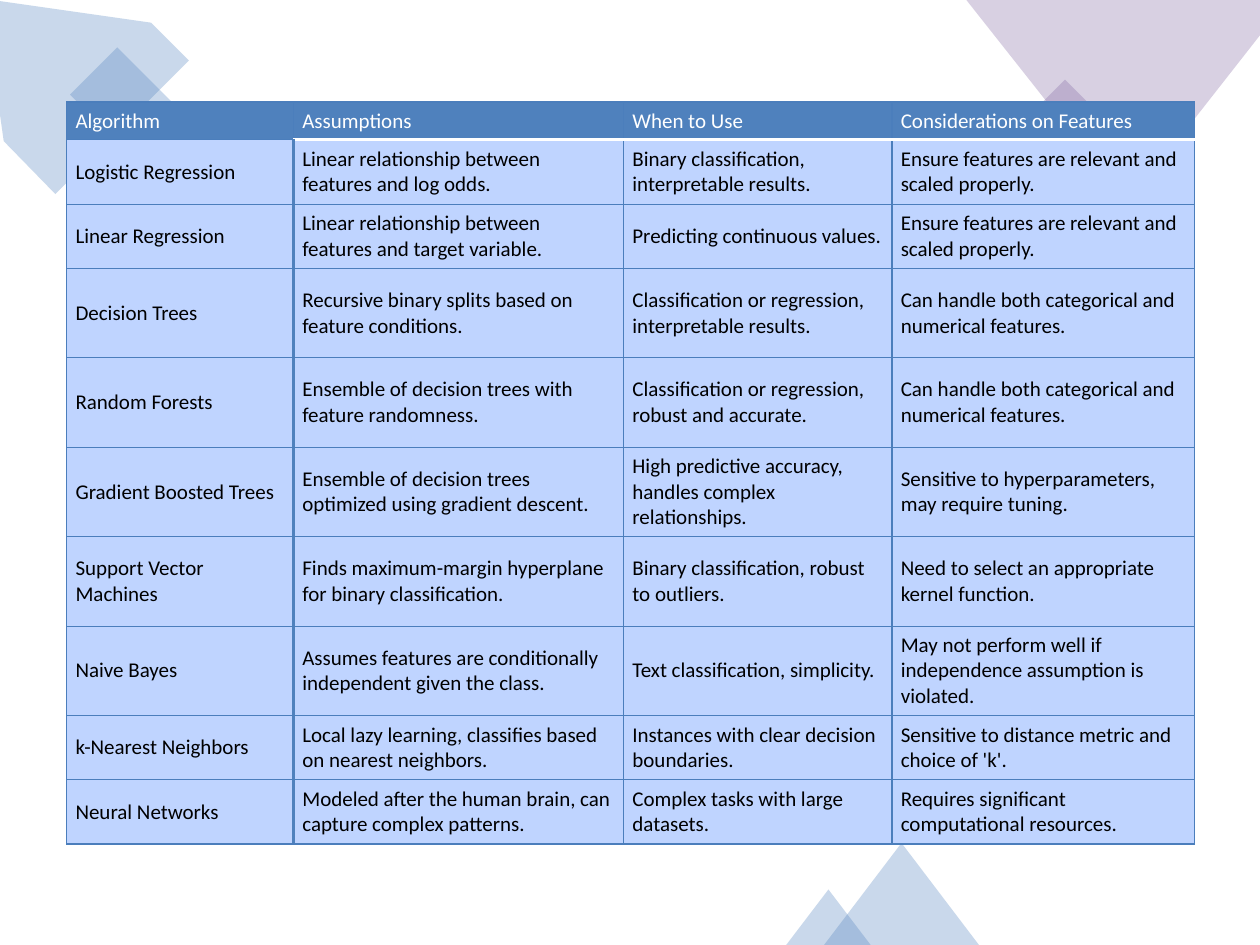
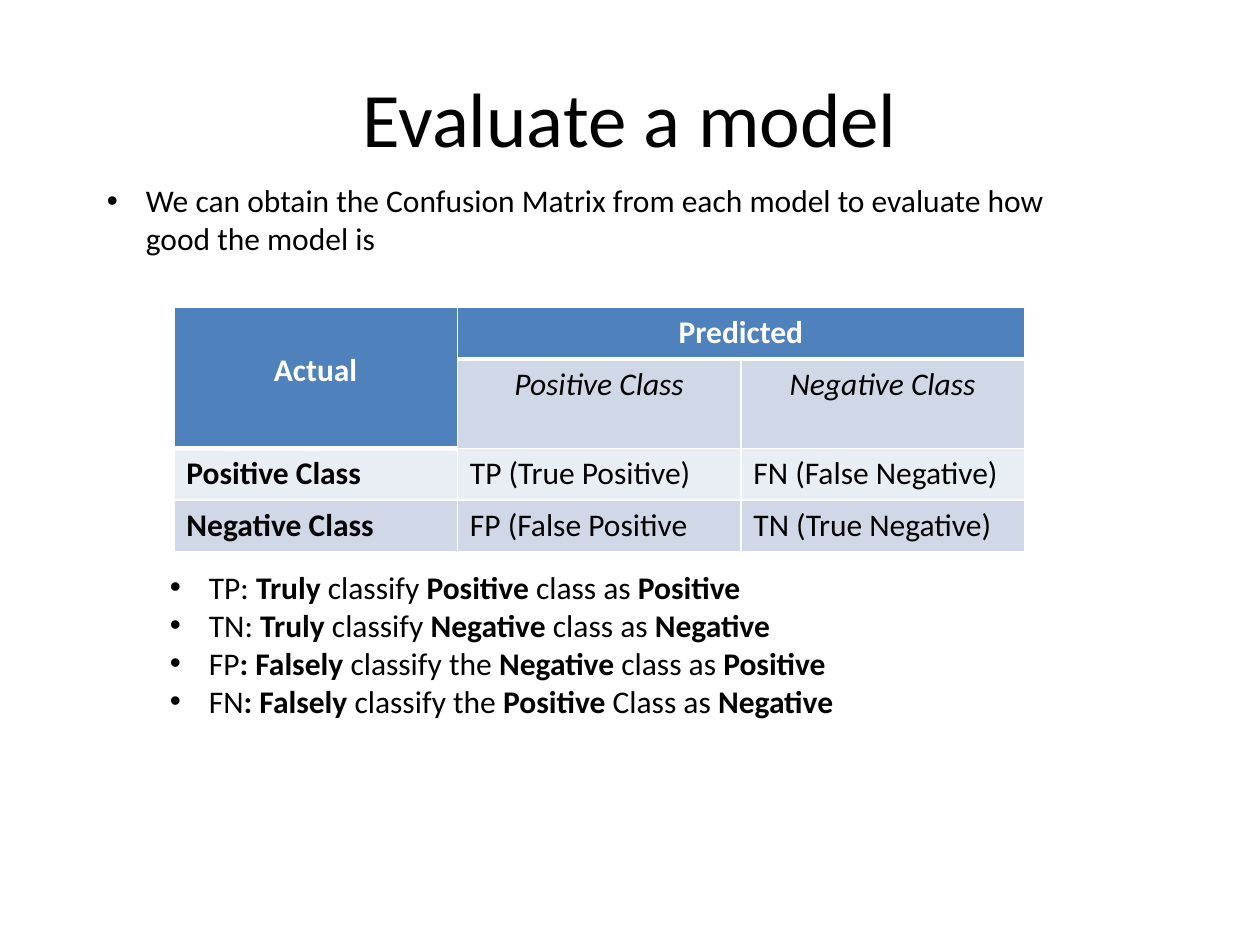
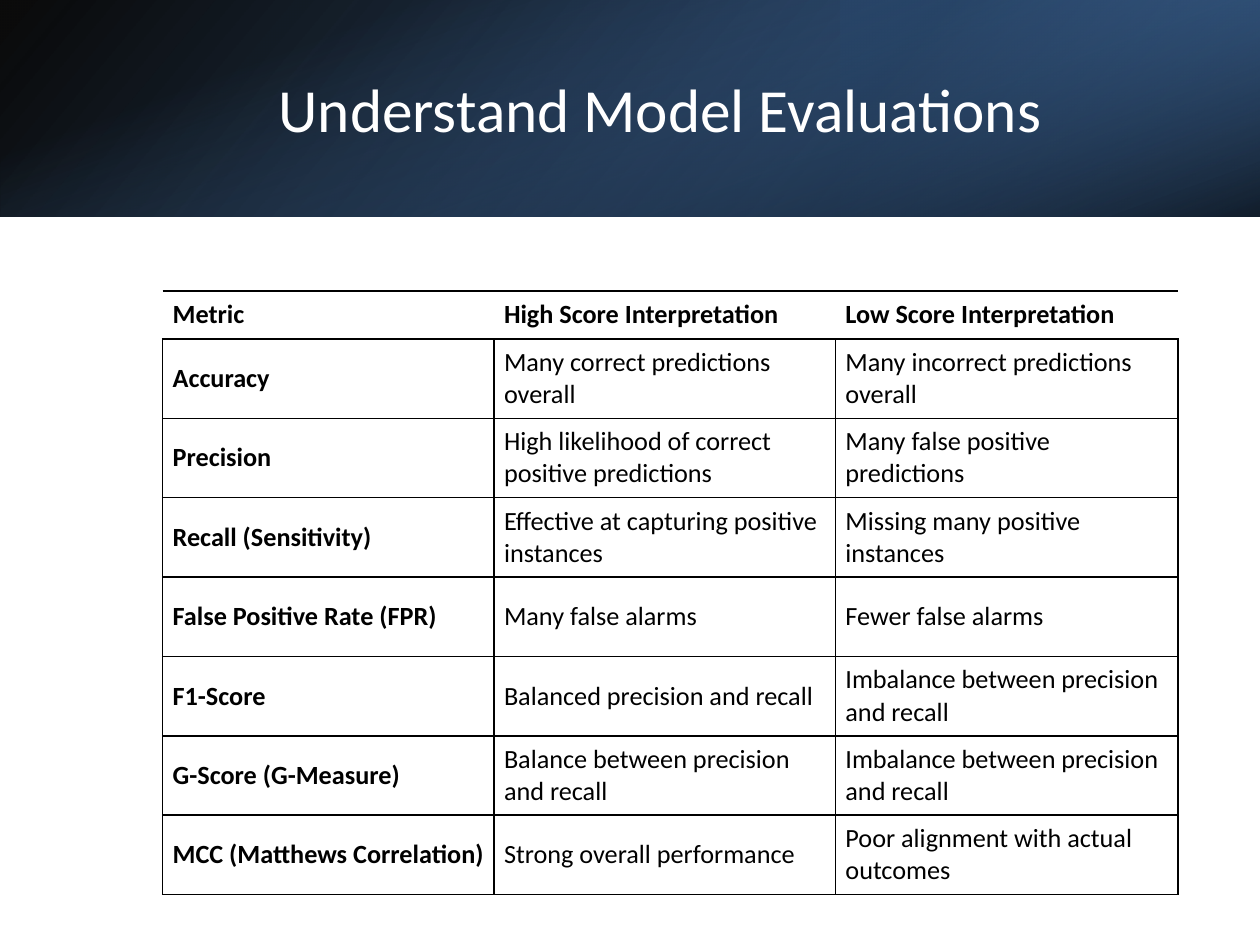
"""Build three slides on algorithms, the confusion matrix and model metrics."""
from itertools import cycle

from lxml.etree import SubElement
from pptx import Presentation
from pptx.dml.color import RGBColor
from pptx.enum.shapes import MSO_SHAPE
from pptx.enum.text import MSO_ANCHOR, MSO_AUTO_SIZE, PP_ALIGN
from pptx.oxml.ns import qn
from pptx.util import Inches, Pt

FONT = "Calibri"
BLACK = RGBColor(0x00, 0x00, 0x00)
WHITE = RGBColor(0xFF, 0xFF, 0xFF)
BLUE = RGBColor(0x4F, 0x81, 0xBD)
PURPLE = RGBColor(0x80, 0x64, 0xA2)
EDGE_BLUE = RGBColor(0x4B, 0x7E, 0xBC)
CELL_BLUE = RGBColor(0xBF, 0xD4, 0xFF)
BAND_DARK = RGBColor(0xD0, 0xD8, 0xE8)
BAND_LIGHT = RGBColor(0xE9, 0xED, 0xF4)
DEEP_BLUE = RGBColor(0x37, 0x60, 0x92)
NAVY = RGBColor(0x25, 0x40, 0x61)
PLAIN_TABLE = "{2D5ABB26-0587-4C30-8999-92F81FD0307C}"

ALGORITHMS = [
    ("Algorithm", "Assumptions", "When to Use", "Considerations on Features"),
    ("Logistic Regression", "Linear relationship between features and log odds.",
     "Binary classification, interpretable results.",
     "Ensure features are relevant and scaled properly."),
    ("Linear Regression", "Linear relationship between features and target variable.",
     "Predicting continuous values.",
     "Ensure features are relevant and scaled properly."),
    ("Decision Trees", "Recursive binary splits based on feature conditions.",
     "Classification or regression, interpretable results.",
     "Can handle both categorical and numerical features."),
    ("Random Forests", "Ensemble of decision trees with feature randomness.",
     "Classification or regression, robust and accurate.",
     "Can handle both categorical and numerical features."),
    ("Gradient Boosted Trees",
     "Ensemble of decision trees optimized using gradient descent.",
     "High predictive accuracy, handles complex relationships.",
     "Sensitive to hyperparameters, may require tuning."),
    ("Support Vector Machines",
     "Finds maximum-margin hyperplane for binary classification.",
     "Binary classification, robust to outliers.",
     "Need to select an appropriate kernel function."),
    ("Naive Bayes", "Assumes features are conditionally independent given the class.",
     "Text classification, simplicity.",
     "May not perform well if independence assumption is violated."),
    ("k-Nearest Neighbors", "Local lazy learning, classifies based on nearest neighbors.",
     "Instances with clear decision boundaries.",
     "Sensitive to distance metric and choice of 'k'."),
    ("Neural Networks", "Modeled after the human brain, can capture complex patterns.",
     "Complex tasks with large datasets.",
     "Requires significant computational resources."),
]
CONFUSION = [
    ("Actual", "Predicted", None),
    (None, "Positive Class", "Negative Class"),
    ("Positive Class", "TP (True Positive)", "FN (False Negative)"),
    ("Negative Class", "FP (False Positive", "TN (True Negative)"),
]
INTRO = [("We can obtain the Confusion Matrix from each model to evaluate how "
          "good the model is",)]
OUTCOMES = [
    ("TP: ", "Truly", " classify ", "Positive", " class as ", "Positive"),
    ("TN: ", "Truly", " classify ", "Negative", " class as ", "Negative"),
    ("FP", ": Falsely", " classify the ", "Negative", " class as ", "Positive"),
    ("FN", ": Falsely", " classify the ", "Positive", " Class as ", "Negative"),
]
METRICS = [
    ("Metric", "High Score Interpretation", "Low Score Interpretation"),
    ("Accuracy", "Many correct predictions overall", "Many incorrect predictions overall"),
    ("Precision", "High likelihood of correct positive predictions",
     "Many false positive predictions"),
    ("Recall (Sensitivity)", "Effective at capturing positive instances",
     "Missing many positive instances"),
    ("False Positive Rate (FPR)", "Many false alarms", "Fewer false alarms"),
    ("F1-Score", "Balanced precision and recall", "Imbalance between precision and recall"),
    ("G-Score (G-Measure)", "Balance between precision and recall",
     "Imbalance between precision and recall"),
    ("MCC (Matthews Correlation)", "Strong overall performance",
     "Poor alignment with actual outcomes"),
]

CORNERS = [
    (BLUE, [(1.2, 0.18), (-0.13, -0.01), (0.03, 1.12), (0.44, 1.54), (1.5, 0.48)]),
    (PURPLE, [(10, 0), (7.67, 0), (8.95, 1.62), (10, 0.28)]),
]
ACCENTS = [
    (MSO_SHAPE.RECTANGLE, (0.73, 0.46, 0.53, 0.71), 315, BLUE),
    (MSO_SHAPE.RECTANGLE, (8.24, 0.72, 0.56, 0.75), 315, PURPLE),
    (MSO_SHAPE.ISOSCELES_TRIANGLE, (6.54, 6.69, 1.23, 0.81), 0, BLUE),
    (MSO_SHAPE.ISOSCELES_TRIANGLE, (6.24, 7.06, 0.67, 0.44), 0, BLUE),
]
BAND_LAYERS = [
    ((0, 0, 10, 1.72), 0, True, 140, [(0, BLACK, 96), (100, DEEP_BLUE, 100)]),
    ((6.67, 0, 3.33, 1.72), 180, True, 320, [(19, NAVY, 68), (100, BLUE, 79)]),
    ((4.14, -4.14, 1.72, 10), 90, False, 340, [(23, BLUE, 0), (99, BLACK, 74)]),
]


def inches(values):
    return [Inches(value) for value in values]


def set_alpha(color_element, percent):
    SubElement(color_element, qn("a:alpha")).set("val", str(percent * 1000))


def tint(shape, color, percent=30):
    shape.shadow.inherit = False
    shape.fill.solid()
    shape.fill.fore_color.rgb = color
    shape.line.fill.background()
    set_alpha(next(shape.element.spPr.iter(qn("a:srgbClr"))), percent)


def add_span(para, text, size, color, bold=False, italic=False):
    span = para.add_run()
    span.text = text
    font = span.font
    font.name, font.size, font.bold, font.italic = FONT, Pt(size), bold, italic
    font.color.rgb = color


def add_title(page, text, place, size, color):
    box = page.shapes.add_textbox(*inches(place))
    frame = box.text_frame
    frame.word_wrap = True
    frame.vertical_anchor = MSO_ANCHOR.MIDDLE
    para = frame.paragraphs[0]
    para.alignment = PP_ALIGN.CENTER
    add_span(para, text, size, color)


def add_bullets(page, lines, place):
    """Add bulleted lines whose parts alternate between plain and bold."""
    frame = page.shapes.add_textbox(*inches(place)).text_frame
    frame.word_wrap = True
    frame.auto_size = MSO_AUTO_SIZE.SHAPE_TO_FIT_TEXT
    for number, parts in enumerate(lines):
        para = frame.add_paragraph() if number else frame.paragraphs[0]
        for part, bold in zip(parts, cycle((False, True))):
            add_span(para, part, 18, BLACK, bold)
        properties = para._p.get_or_add_pPr()
        properties.set("marL", str(Inches(0.31)))
        properties.set("indent", str(-Inches(0.31)))
        SubElement(properties, qn("a:buFont")).set("typeface", "Arial")
        SubElement(properties, qn("a:buChar")).set("char", "•")


def set_edges(cell, edges):
    """Draw the sides named in edges, each a colour and a width or None."""
    properties = cell._tc.get_or_add_tcPr()
    for side in "LRTB":
        line = SubElement(properties, qn("a:ln" + side))
        if edges.get(side):
            color, width = edges[side]
            line.set("w", str(Pt(width)))
            fill = SubElement(line, qn("a:solidFill"))
            SubElement(fill, qn("a:srgbClr")).set("val", str(color))
        else:
            line.set("w", "0")
            SubElement(line, qn("a:noFill"))


def add_grid(page, rows, corner, widths, heights, size, insets, anchor, style):
    """Add a table; style(row, column) gives fill, edges, alignment and font."""
    place = inches((*corner, sum(widths), sum(heights)))
    frame = page.shapes.add_table(len(rows), len(widths), *place)
    next(frame.element.iter(qn("a:tableStyleId"))).text = PLAIN_TABLE
    table = frame.table
    table.first_row = table.horz_banding = False
    for column, width in zip(table.columns, widths):
        column.width = Inches(width)
    for row, height in zip(table.rows, heights):
        row.height = Inches(height)
    for r, texts in enumerate(rows):
        for c, text in enumerate(texts):
            cell = table.cell(r, c)
            fill, edges, alignment, font = style(r, c)
            set_edges(cell, edges)
            if fill is None:
                cell.fill.background()
            else:
                cell.fill.solid()
                cell.fill.fore_color.rgb = fill
            cell.margin_left = cell.margin_right = Inches(insets[0])
            cell.margin_top = cell.margin_bottom = Inches(insets[1])
            cell.vertical_anchor = anchor
            if text:
                para = cell.text_frame.paragraphs[0]
                para.alignment = alignment
                add_span(para, text, size, **font)
    return table


def algorithm_style(row, column):
    edges = dict.fromkeys("LRTB", (EDGE_BLUE, 0.75))
    if row and column < 2:
        edges["L" if column else "R"] = (BLUE, 2)
    if row < 2 and column:
        edges["T" if row else "B"] = (WHITE, 2)
    fill, color = (CELL_BLUE, BLACK) if row else (BLUE, WHITE)
    return fill, edges, PP_ALIGN.LEFT, {"color": color}


def confusion_style(row, column):
    header = row == 0 or (row == 1 and column == 0)
    edges = dict.fromkeys("LRTB", (WHITE, 1))
    last_header_row = 0 if column else 1
    if row == last_header_row:
        edges["B"] = (WHITE, 3)
    elif row == last_header_row + 1:
        edges["T"] = (WHITE, 3)
    fill = BLUE if header else BAND_DARK if row % 2 else BAND_LIGHT
    font = {"color": WHITE if header else BLACK,
            "bold": header or column == 0, "italic": row == 1}
    return fill, edges, PP_ALIGN.CENTER if row < 2 else PP_ALIGN.LEFT, font


def metric_style(row, column):
    edges = dict.fromkeys("LRTB" if row else "TB", (BLACK, 1))
    return None, edges, PP_ALIGN.LEFT, {"color": BLACK, "bold": row == 0 or column == 0}


def build_algorithms(page):
    def add_corner(color, points):
        start, *others = [inches(point) for point in points]
        outline = page.shapes.build_freeform(*start)
        outline.add_line_segments(others, close=True)
        tint(outline.convert_to_shape(), color)

    for color, points in CORNERS:
        add_corner(color, points)
    for kind, place, rotation, color in ACCENTS:
        accent = page.shapes.add_shape(kind, *inches(place))
        accent.rotation = rotation
        tint(accent, color)
    heights = [0.3] + [0.51] * 2 + [0.71] * 5 + [0.51] * 2
    add_grid(page, ALGORITHMS, (0.53, 0.81), (1.8, 2.62, 2.13, 2.4), heights,
             12, (0.07, 0.03), MSO_ANCHOR.MIDDLE, algorithm_style)


def build_confusion(page):
    add_title(page, "Evaluate a model", (0.5, 0.3, 9, 1.25), 44, BLACK)
    table = add_grid(page, CONFUSION, (1.38, 2.44), [2.25] * 3, (0.41, 0.71, 0.41, 0.41),
                     18, (0.1, 0.05), MSO_ANCHOR.TOP, confusion_style)
    actual = table.cell(0, 0)
    actual.merge(table.cell(1, 0))
    actual.margin_top = Inches(0.35)
    table.cell(0, 1).merge(table.cell(0, 2))
    add_bullets(page, OUTCOMES, (1.25, 4.46, 8, 1.62))
    add_bullets(page, INTRO, (0.75, 1.39, 8, 1.01))


def build_metrics(page):
    for place, rotation, flipped, angle, stops in BAND_LAYERS:
        layer = page.shapes.add_shape(MSO_SHAPE.RECTANGLE, *inches(place))
        layer.shadow.inherit = False
        layer.line.fill.background()
        layer.rotation = rotation
        if flipped:
            layer.element.spPr.xfrm.set("flipH", "1")
        layer.fill.gradient()
        layer.fill.gradient_angle = 360 - angle
        for stop, (position, color, _) in zip(layer.fill.gradient_stops, stops):
            stop.position = position / 100
            stop.color.rgb = color
        colors = list(layer.element.spPr.iter(qn("a:srgbClr")))
        for element, (_, _, percent) in zip(colors, stops):
            set_alpha(element, percent)
    add_title(page, "Understand Model Evaluations", (1.12, 0.38, 8.24, 0.96), 35, WHITE)
    add_grid(page, METRICS, (1.29, 2.31), (2.63, 2.71, 2.72), [0.38] + [0.63] * 7,
             15, (0.08, 0.04), MSO_ANCHOR.MIDDLE, metric_style)


def main():
    deck = Presentation()
    deck.slide_width, deck.slide_height = Inches(10), Inches(7.5)
    for build in (build_algorithms, build_confusion, build_metrics):
        build(deck.slides.add_slide(deck.slide_layouts[6]))
    deck.save("out.pptx")


if __name__ == "__main__":
    main()
